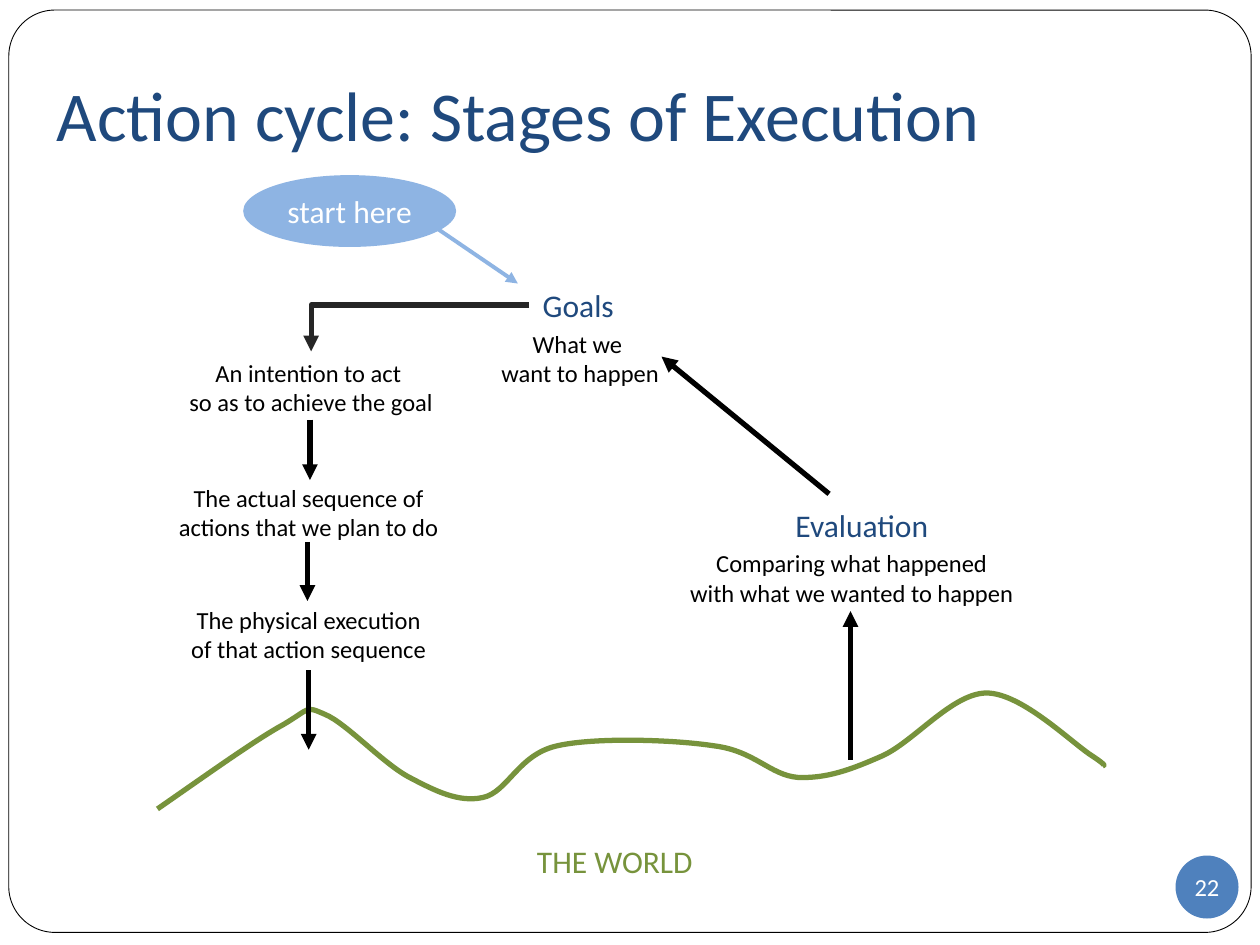
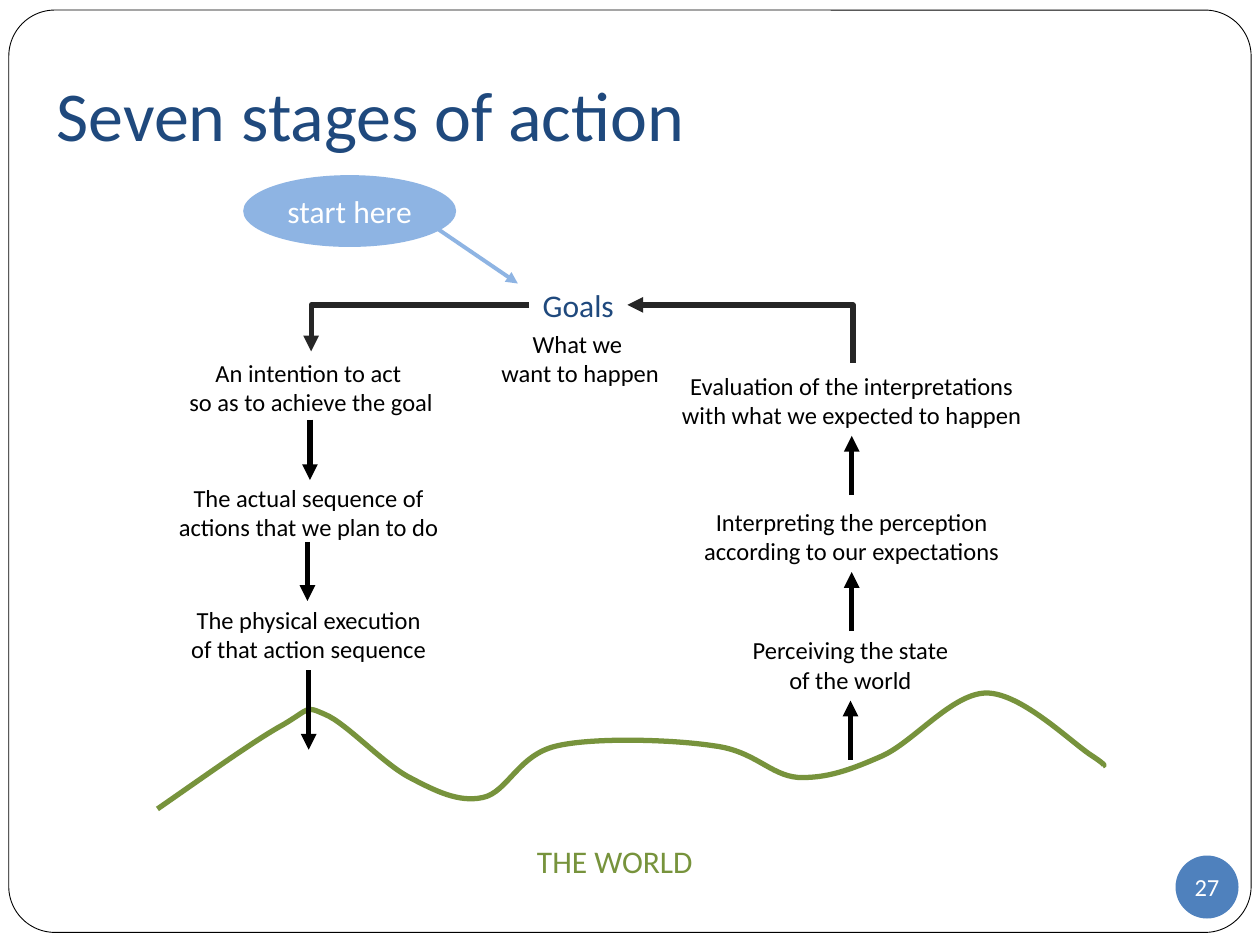
from lxml import etree
from pptx import Presentation
from pptx.dml.color import RGBColor
from pptx.enum.shapes import MSO_CONNECTOR, MSO_SHAPE
from pptx.enum.text import MSO_ANCHOR, MSO_AUTO_SIZE, PP_ALIGN
from pptx.oxml.ns import qn
from pptx.util import Emu, Pt

PX = 9144  # 100 px to the inch
FONT = "Calibri"
CENTER, LEFT = PP_ALIGN.CENTER, PP_ALIGN.LEFT
MIDDLE = MSO_ANCHOR.MIDDLE
NO_FIT, GROW = MSO_AUTO_SIZE.NONE, MSO_AUTO_SIZE.SHAPE_TO_FIT_TEXT
STRAIGHT = MSO_CONNECTOR.STRAIGHT
OVAL, ROUNDED = MSO_SHAPE.OVAL, MSO_SHAPE.ROUNDED_RECTANGLE

COLORS = {"black": "000000", "white": "FFFFFF", "navy": "1F497D", "badge": "4F81BD",
          "sky": "8EB4E3", "green": "77933C", "charcoal": "262626"}

# Text styles: size in points, colour, alignment
STYLES = {"title": (40, "navy", LEFT), "heading": (18, "navy", CENTER),
          "world": (18, "green", CENTER), "start": (18, "white", CENTER),
          "stage": (14, "black", CENTER), "number": (14, "white", CENTER)}

# Shared geometry: left, top, width, height
FRAME = (7, 8, 986, 732)
TITLE = (35, 30, 937, 125)
BADGE = (933, 679, 50, 50)
START = (193, 139, 169, 57)

# The world: first point, then two controls and an end point for each curve
WORLD_START = (125, 642)
WORLD_CURVES = [
    (164, 615), (203, 587), (225, 575), (247, 562), (242, 560), (258, 567),
    (275, 574), (304, 606), (325, 617), (346, 628), (364, 637), (383, 633),
    (403, 629), (411, 599), (442, 592), (472, 585), (535, 587), (567, 592),
    (599, 596), (611, 615), (633, 617), (656, 618), (675, 611), (700, 600),
    (725, 589), (756, 550), (783, 550), (811, 550), (851, 590), (867, 600),
    (882, 610), (874, 607), (875, 608)]

# Text boxes: name -> text, style, place
CYCLE_TEXTS = {
    "goals": ("Goals", "heading", (419, 222, 80, 40)),
    "wish": ("What we \nwant to happen", "stage", (388, 256, 145, 57)),
    "intention": ("An intention to act \nso as to achieve the goal", "stage", (140, 279, 214, 57)),
    "plan": ("The actual sequence of\nactions that we plan to do", "stage", (132, 378, 226, 57)),
    "execution": ("The physical execution\nof that action sequence", "stage", (141, 475, 208, 57)),
    "world": ("THE WORLD", "world", (416, 663, 144, 40)),
}

# Arrows: from, to, then optionally the box and side joined at the named end
CYCLE_ARROWS = [
    ((246, 333), (246, 381)),
    ((244, 430), (244, 477)),
    ((245, 532), (245, 595), "begin", "execution", 2),
]

# Elbows run sideways first, then down; the arrowhead sits at the named end
CYCLE_ELBOWS = [((420, 242), (247, 279), "tailEnd")]

SLIDES = [
    {"title": "Action cycle: Stages of Execution", "number": "22",
     "texts": {
         "evaluation": ("Evaluation", "heading", (621, 397, 126, 40)),
         "comparing": ("Comparing what happened\nwith what we wanted to happen",
                       "stage", (537, 430, 278, 57))},
     "arrows": [((675, 603), (675, 485)), ((658, 392), (525, 283))],
     "elbows": []},
    {"title": "Seven stages of action", "number": "27",
     "texts": {
         "perceiving": ("Perceiving the state\nof the world", "stage", (587, 499, 176, 57)),
         "interpreting": ("Interpreting the perception\naccording to our expectations",
                          "stage", (548, 397, 256, 57)),
         "evaluating": ("Evaluation of the interpretations\nwith what we expected to happen",
                        "stage", (531, 289, 290, 57))},
     "arrows": [((675, 603), (675, 556), "end", "perceiving", 2),
                ((676, 501), (676, 454), "end", "interpreting", 2),
                ((676, 393), (676, 346), "end", "evaluating", 2)],
     "elbows": [((498, 242), (677, 288), "headEnd")]},
]


def px(values):
    return [Emu(v * PX) for v in values]


def rgb(name):
    return RGBColor.from_string(COLORS[name])


def write(s, text, style, margins=(10, 5, 10, 5), wrap=False, fit=NO_FIT):
    size, color, align = STYLES[style]
    tf = s.text_frame
    sides = ("margin_left", "margin_top", "margin_right", "margin_bottom")
    settings = dict(zip(sides, px(margins)), word_wrap=wrap, auto_size=fit,
                    vertical_anchor=MIDDLE)
    for key, value in settings.items():
        setattr(tf, key, value)
    p = tf.paragraphs[0]
    p.text = text
    p.alignment = align
    for r in p.runs:
        for key, value in {"size": Pt(size), "name": FONT}.items():
            setattr(r.font, key, value)
        r.font.color.rgb = rgb(color)


def add_solid(slide, kind, place, fill):
    s = slide.shapes.add_shape(kind, *px(place))
    s.shadow.inherit = False
    s.fill.solid()
    s.fill.fore_color.rgb = rgb(fill)
    s.line.fill.background()
    return s


def add_frame(slide, layout):
    """Draw the rounded frame and move it to the back of the shared layout."""
    s = add_solid(slide, ROUNDED, FRAME, "white")
    s.adjustments[0] = 0.05
    s.line.color.rgb = rgb("black")
    s.line.width = Pt(0.5)
    s.element.nvSpPr.cNvPr.set("id", "20")
    layout.shapes.element.insert(2, s.element)


def add_world(slide):
    builder = slide.shapes.build_freeform(*WORLD_START, scale=PX)
    builder.add_line_segments(WORLD_CURVES, close=False)
    s = builder.convert_to_shape()
    s.shadow.inherit = False
    s.fill.background()
    s.line.color.rgb = rgb("green")
    s.line.width = Pt(3)
    # Turn each three segments into one Bézier curve
    outline = s.element.find(".//" + qn("a:path"))
    segments = outline.findall(qn("a:lnTo"))
    for i in range(0, len(segments), 3):
        curve = etree.SubElement(outline, qn("a:cubicBezTo"))
        for segment in segments[i:i + 3]:
            curve.append(segment[0])
            outline.remove(segment)


def add_arrow(slide, start, end, color="black", width=3, head="tailEnd"):
    c = slide.shapes.add_connector(STRAIGHT, *px(start + end))
    c.line.color.rgb = rgb(color)
    c.line.width = Pt(width)
    props = c.element.spPr
    etree.SubElement(props.find(qn("a:ln")), qn("a:" + head), type="triangle")
    etree.SubElement(props, qn("a:effectLst"))
    return c


def add_elbow(slide, start, end, head):
    c = add_arrow(slide, start, end, "charcoal", head=head)
    c.element.spPr.find(qn("a:prstGeom")).set("prst", "bentConnector2")


def build_slide(slide, data):
    # Title and slide number
    title = slide.shapes.title
    title.left, title.top, title.width, title.height = px(TITLE)
    write(title, data["title"], "title", margins=(10, 5, 10, 10), wrap=True)
    badge = add_solid(slide, OVAL, BADGE, "badge")
    write(badge, data["number"], "number", margins=(0, 0, 0, 0))

    # World outline and starting point
    add_world(slide)
    write(add_solid(slide, OVAL, START, "sky"), "start here", "start")
    add_arrow(slide, (342, 178), (411, 225), "sky", 2.25)

    # Stages
    boxes = {}
    for name, (text, style, place) in {**CYCLE_TEXTS, **data["texts"]}.items():
        boxes[name] = slide.shapes.add_textbox(*px(place))
        write(boxes[name], text, style, fit=GROW)

    # Arrows between the stages
    for start, end, *joint in CYCLE_ARROWS + data["arrows"]:
        c = add_arrow(slide, start, end)
        if joint:
            side, name, site = joint
            join = c.begin_connect if side == "begin" else c.end_connect
            join(boxes[name], site)
    for elbow in CYCLE_ELBOWS + data["elbows"]:
        add_elbow(slide, *elbow)


def main():
    prs = Presentation()
    prs.slide_width, prs.slide_height = px((1000, 750))
    layout = prs.slide_layouts[5]
    for i, data in enumerate(SLIDES):
        slide = prs.slides.add_slide(layout)
        if i == 0:
            add_frame(slide, layout)
        build_slide(slide, data)
    prs.save("out.pptx")


if __name__ == "__main__":
    main()
